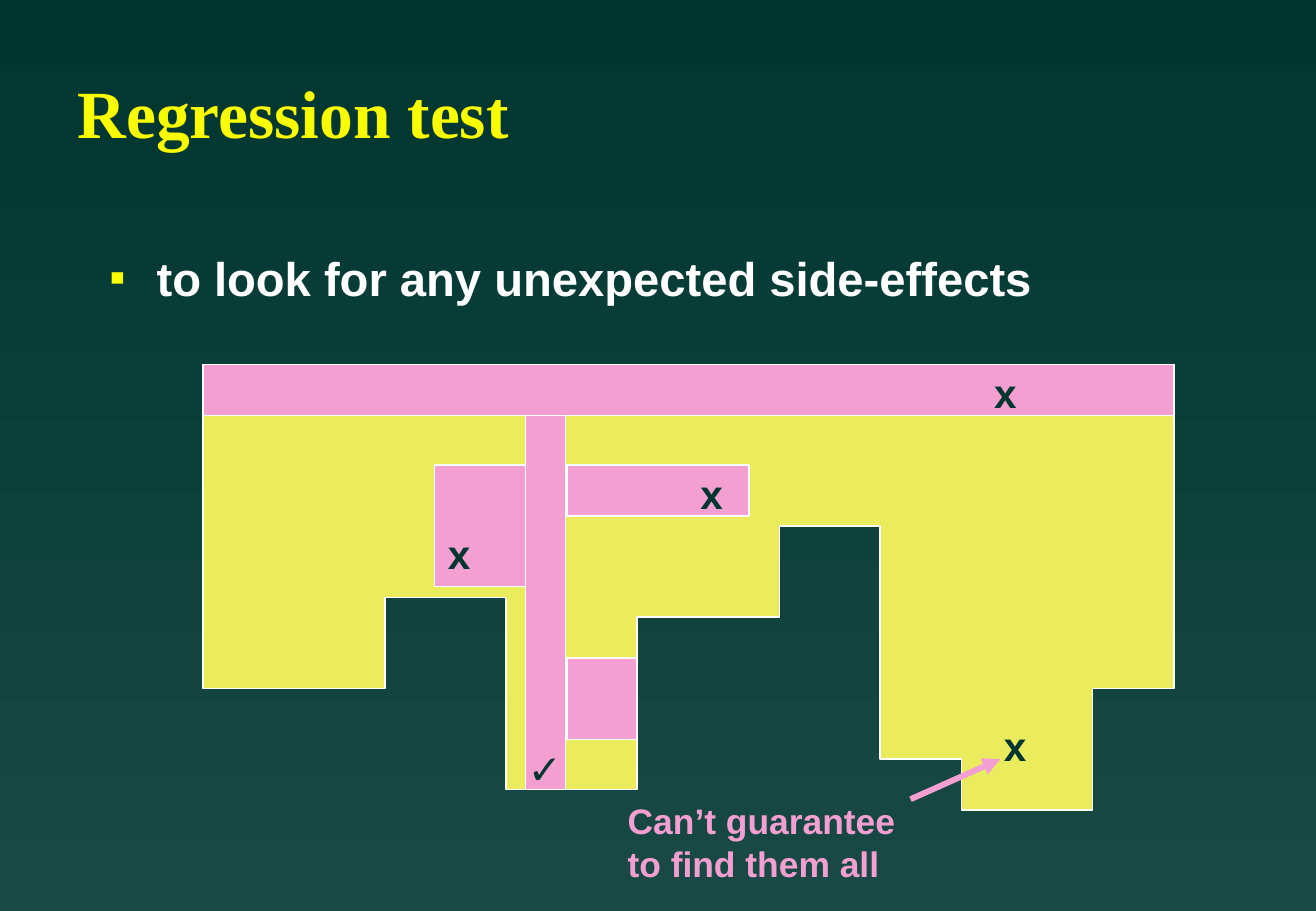
"""Build the slide on regression tests and their unexpected side-effects."""
from lxml import etree
from pptx import Presentation
from pptx.dml.color import RGBColor
from pptx.enum.shapes import MSO_CONNECTOR, MSO_SHAPE
from pptx.enum.text import MSO_ANCHOR, MSO_AUTO_SIZE, PP_ALIGN
from pptx.oxml.ns import qn
from pptx.util import Inches, Pt

DARK_GREEN = RGBColor(0x00, 0x35, 0x30)
LIGHT_GREEN = RGBColor(0x19, 0x49, 0x44)
TITLE_YELLOW = RGBColor(0xFA, 0xFD, 0x00)
SYSTEM_YELLOW = RGBColor(0xEA, 0xEC, 0x5E)
PINK = RGBColor(0xF3, 0x9F, 0xD1)
WHITE = RGBColor(0xFF, 0xFF, 0xFF)
LEFT = PP_ALIGN.LEFT
MIDDLE, TOP = MSO_ANCHOR.MIDDLE, MSO_ANCHOR.TOP
NO_AUTOFIT = MSO_AUTO_SIZE.NONE
RECTANGLE = MSO_SHAPE.RECTANGLE
STRAIGHT = MSO_CONNECTOR.STRAIGHT


def write_line(paragraph, text, size, color, font_name="Arial"):
    paragraph.alignment = LEFT
    paragraph.space_before = Pt(0)
    run = paragraph.add_run()
    run.text = text
    run.font.size = Pt(size)
    run.font.name = font_name
    run.font.bold = True
    run.font.color.rgb = color


def paint(shape, color):
    shape.shadow.inherit = False
    shape.fill.solid()
    shape.fill.fore_color.rgb = color
    shape.line.color.rgb = WHITE
    shape.line.width = Pt(1)


presentation = Presentation()
presentation.slide_width = Inches(10.84)
presentation.slide_height = Inches(7.5)
slide = presentation.slides.add_slide(presentation.slide_layouts[1])

background = slide.background.fill
background.gradient()
background.gradient_angle = 270
for stop, color in zip(background.gradient_stops, (DARK_GREEN, LIGHT_GREEN)):
    stop.color.rgb = color

title = slide.shapes.title
body = slide.placeholders[1]
for placeholder, left, top, height, anchor in (
    (title, 0.54, 0.58, 0.67, MIDDLE),
    (body, 0.81, 2, 4.67, TOP),
):
    placeholder.left, placeholder.top = Inches(left), Inches(top)
    placeholder.width, placeholder.height = Inches(9.21), Inches(height)
    placeholder.text_frame.auto_size = NO_AUTOFIT
    placeholder.text_frame.vertical_anchor = anchor
write_line(title.text_frame.paragraphs[0], "Regression test", 40, TITLE_YELLOW, "Times New Roman")

bullet_paragraph = body.text_frame.paragraphs[0]
properties = bullet_paragraph._p.get_or_add_pPr()
properties.set("marL", str(Inches(0.38)))
properties.set("indent", str(Inches(-0.38)))
bullet_color = etree.SubElement(properties, qn("a:buClr"))
etree.SubElement(bullet_color, qn("a:srgbClr"), val=str(TITLE_YELLOW))
etree.SubElement(properties, qn("a:buSzPct"), val="50000")
etree.SubElement(properties, qn("a:buFont"), typeface="Arial")
etree.SubElement(properties, qn("a:buChar"), char="■")
write_line(bullet_paragraph, "to look for any unexpected side-effects", 28, WHITE)

system_outline = [
    (1.67, 3), (9.67, 3), (9.67, 5.67), (9, 5.67), (9, 6.67), (7.92, 6.67),
    (7.92, 6.25), (7.25, 6.25), (7.25, 4.33), (6.42, 4.33), (6.42, 5.08),
    (5.25, 5.08), (5.25, 6.5), (4.17, 6.5), (4.17, 4.92), (3.17, 4.92),
    (3.17, 5.67), (1.67, 5.67),
]
corners = [(Inches(x), Inches(y)) for x, y in system_outline]
builder = slide.shapes.build_freeform(*corners[0])
builder.add_line_segments(corners[1:], close=True)
paint(builder.convert_to_shape(), SYSTEM_YELLOW)

tested_areas = [
    (1.67, 3, 8, 0.42),
    (4.33, 3.42, 0.33, 3.08),
    (3.58, 3.83, 0.75, 1),
    (4.67, 3.83, 1.5, 0.42),
    (4.67, 5.42, 0.58, 0.67),
]
for area in tested_areas:
    paint(slide.shapes.add_shape(RECTANGLE, *map(Inches, area)), PINK)

marks = [
    ("x", 5.67, 3.81, 0.38),
    ("x", 8.09, 2.98, 0.38),
    ("x", 3.59, 4.31, 0.38),
    ("x", 8.17, 5.89, 0.38),
    ("✓", 4.25, 6.08, 0.46),
]
for symbol, left, top, width in marks:
    mark = slide.shapes.add_textbox(Inches(left), Inches(top), Inches(width), Inches(0.5))
    mark.text_frame.word_wrap = symbol == "✓"
    write_line(mark.text_frame.paragraphs[0], symbol, 24, DARK_GREEN)

caption = slide.shapes.add_textbox(Inches(5.17), Inches(6.58), Inches(2.21), Inches(0.7))
frame = caption.text_frame
frame.word_wrap = False
frame.margin_left = frame.margin_right = frame.margin_top = frame.margin_bottom = 0
write_line(frame.paragraphs[0], "Can’t guarantee", 21, PINK)
write_line(frame.add_paragraph(), "to find them all", 21, PINK)

arrow = slide.shapes.add_connector(STRAIGHT, Inches(7.5), Inches(6.58), Inches(8.24), Inches(6.25))
arrow.line.color.rgb = PINK
arrow.line.width = Pt(3.5)
etree.SubElement(arrow.line._get_or_add_ln(), qn("a:tailEnd"), type="triangle")
etree.SubElement(arrow._element.spPr, qn("a:effectLst"))

presentation.save("out.pptx")
